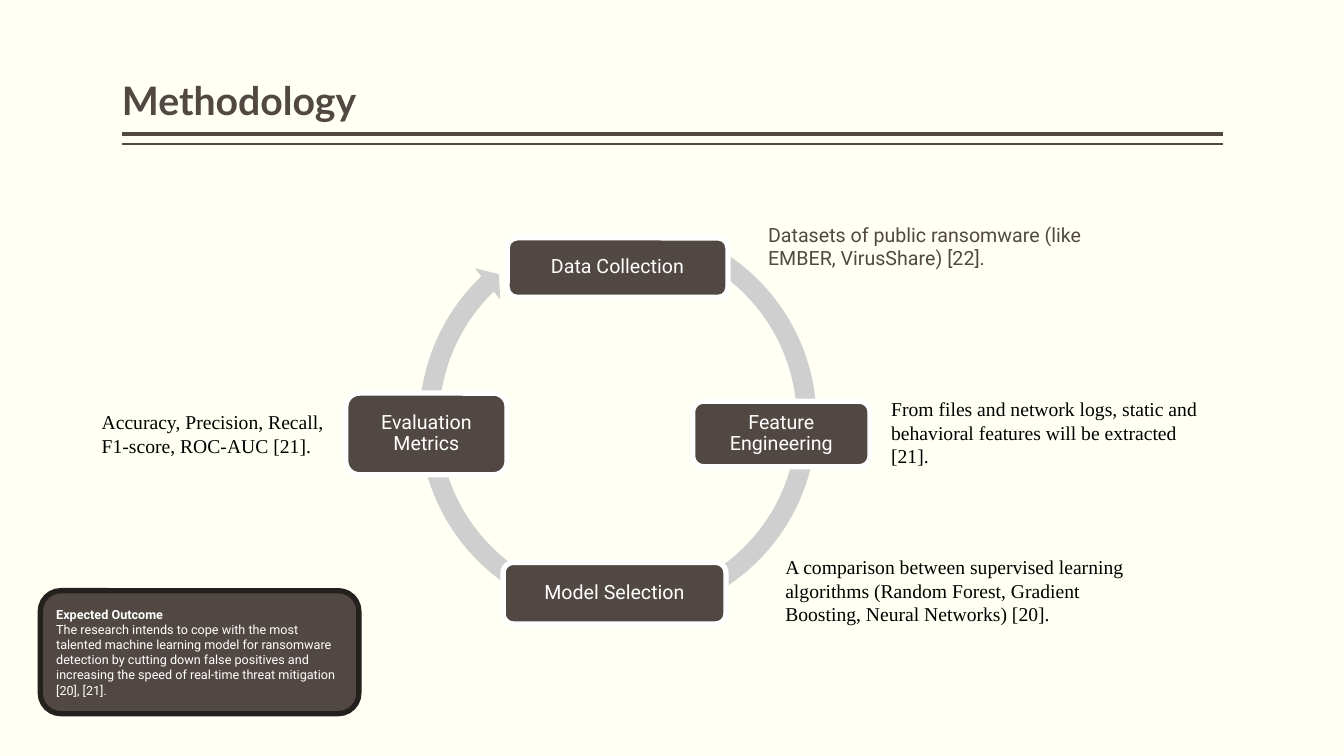
from lxml.etree import SubElement
from pptx import Presentation
from pptx.dml.color import RGBColor
from pptx.enum.shapes import MSO_CONNECTOR, MSO_SHAPE
from pptx.enum.text import MSO_ANCHOR, PP_ALIGN
from pptx.oxml.ns import qn
from pptx.util import Inches, Pt

COLORS = {"page": "FFFFF3", "brown": "514843", "dark": "24201D",
          "ring": "D0CFCF", "white": "FFFFFF", "black": "000000"}
SERIF = "Times New Roman"
STEPS = [
    ("Data Collection", (5.03, 2.36, 2.19, 0.59)),
    ("Feature Engineering", (6.87, 3.98, 1.76, 0.65)),
    ("Model Selection", (4.99, 5.58, 2.21, 0.61)),
    ("Evaluation Metrics", (3.43, 3.9, 1.6, 0.81)),
]
NOTES = [
    ("Datasets of public ransomware (like EMBER, VirusShare) [22].",
     (7.52, 2.16, 3.96, 0.57), "Roboto", "brown"),
    ("From files and network logs, static and behavioral features "
     "will be extracted [21].", (8.74, 3.89, 3.29, 0.81), SERIF, "black"),
    ("A comparison between supervised learning algorithms (Random Forest, "
     "Gradient Boosting, Neural Networks) [20].",
     (7.69, 5.46, 3.62, 0.81), SERIF, "black"),
    ("Accuracy, Precision, Recall, F1-score, ROC-AUC [21].",
     (0.91, 4.02, 2.41, 0.57), SERIF, "black"),
]
OUTCOME = ("Expected Outcome\nThe research intends to cope with the most "
           "talented machine learning model for ransomware detection by "
           "cutting down false positives and increasing the speed of "
           "real-time threat mitigation [20], [21].")


def color(name):
    """Return the named colour."""
    return RGBColor.from_string(COLORS[name])


def write(shape, text, size, face, tint, align=PP_ALIGN.LEFT):
    """Put styled, wrapped text in a shape and return its frame."""
    frame = shape.text_frame
    frame.text = text
    frame.word_wrap = True
    for para in frame.paragraphs:
        para.alignment = align
        for run in para.runs:
            run.font.size = Pt(size)
            run.font.name = face
            run.font.color.rgb = color(tint)
    return frame


def add_rule(slide, top, width):
    """Draw a level line under the title."""
    rule = slide.shapes.add_connector(
        MSO_CONNECTOR.STRAIGHT, Inches(12.13), Inches(top),
        Inches(1.21), Inches(top))
    rule.line.color.rgb = color("brown")
    rule.line.width = Pt(width)
    SubElement(rule._element.spPr, qn("a:effectLst"))


def add_title(slide, text):
    """Add the bold title with its double rule."""
    add_rule(slide, 1.33, 3)
    add_rule(slide, 1.43, 1)
    frame = add_note(slide, text, (1.21, 0.08, 10.92, 1.2),
                     "Lato", "brown", 28)
    frame.vertical_anchor = MSO_ANCHOR.BOTTOM
    frame.margin_left = frame.margin_right = 0
    para = frame.paragraphs[0]
    para.line_spacing = 0.9
    para.runs[0].font.bold = True


def add_ring(slide):
    """Draw the round arrow behind the steps."""
    ring = slide.shapes.add_shape(
        MSO_SHAPE.CIRCULAR_ARROW, *map(Inches, (4.06, 2.1, 4.14, 4.14)))
    for index, value in enumerate((0.047, 2.729, 135.772, 175.441, 0.048)):
        ring.adjustments[index] = value
    ring.shadow.inherit = False
    ring.fill.solid()
    ring.fill.fore_color.rgb = color("ring")
    ring.line.fill.background()


def add_card(slide, box, edge):
    """Add a brown rounded card with a coloured edge."""
    card = slide.shapes.add_shape(
        MSO_SHAPE.ROUNDED_RECTANGLE, *map(Inches, box))
    card.shadow.inherit = False
    card.fill.solid()
    card.fill.fore_color.rgb = color("brown")
    card.line.color.rgb = color(edge)
    card.line.width = Pt(3.78)
    card.text_frame.vertical_anchor = MSO_ANCHOR.MIDDLE
    return card


def add_step(slide, text, box):
    """Add one step of the cycle."""
    card = add_card(slide, box, "white")
    frame = write(card, text, 14, "Roboto", "white", PP_ALIGN.CENTER)
    frame.margin_left = frame.margin_right = Inches(0.06)
    frame.margin_top = frame.margin_bottom = Inches(0.06)
    frame.paragraphs[0].line_spacing = 0.9


def add_note(slide, text, box, face, tint, size=14):
    """Add a text box and return its frame."""
    note = slide.shapes.add_textbox(*map(Inches, box))
    return write(note, text, size, face, tint)


def main():
    """Build and save the slide."""
    deck = Presentation()
    deck.slide_width, deck.slide_height = Inches(13.33), Inches(7.5)
    slide = deck.slides.add_slide(deck.slide_layouts[6])
    slide.background.fill.solid()
    slide.background.fill.fore_color.rgb = color("page")
    add_title(slide, "Methodology")
    add_ring(slide)
    for step in STEPS:
        add_step(slide, *step)
    for note in NOTES:
        add_note(slide, *note)
    card = add_card(slide, (0.4, 5.86, 3.16, 1.22), "dark")
    frame = write(card, OUTCOME, 9, "Roboto", "white")
    frame.paragraphs[0].runs[0].font.bold = True
    deck.save("out.pptx")


if __name__ == "__main__":
    main()
